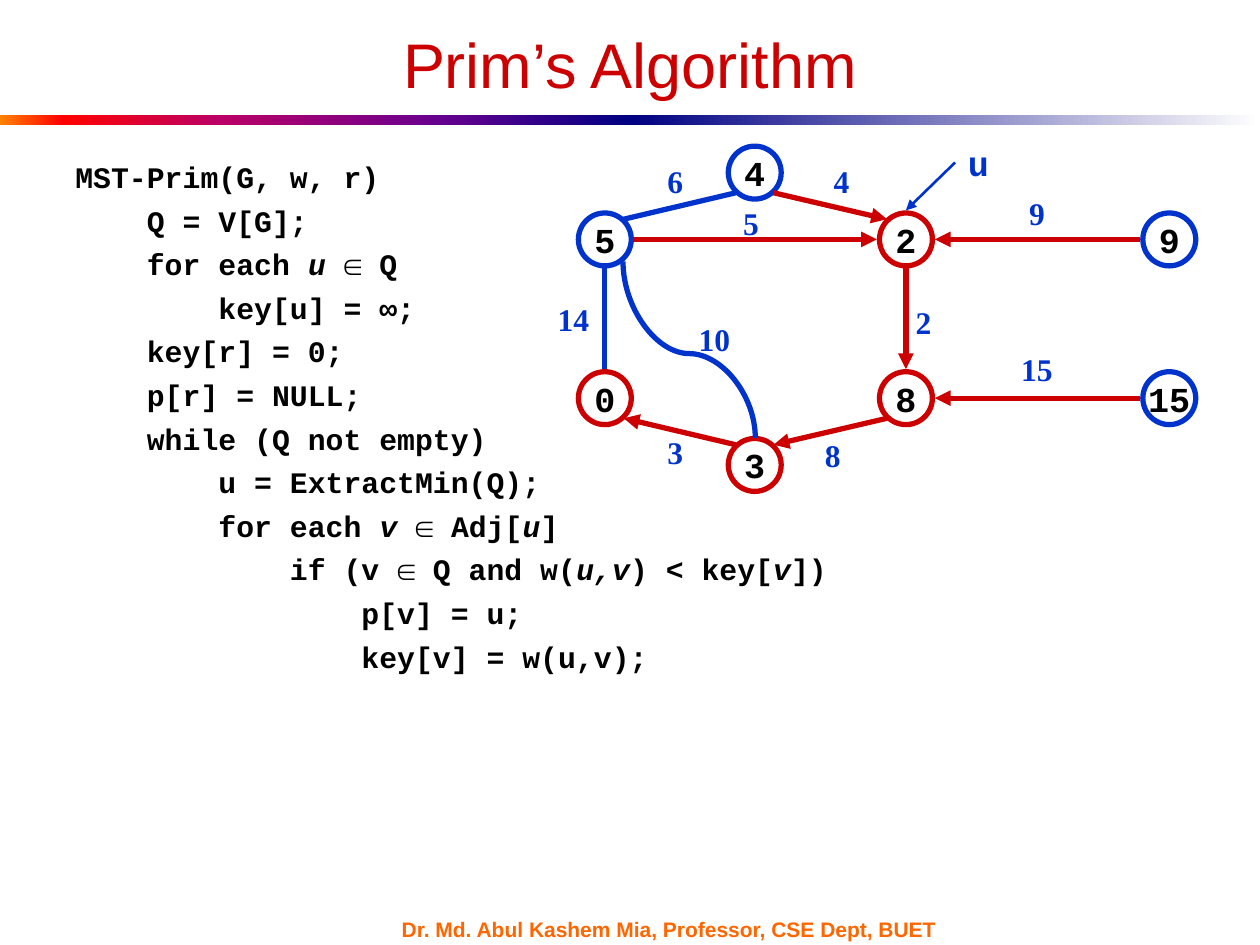
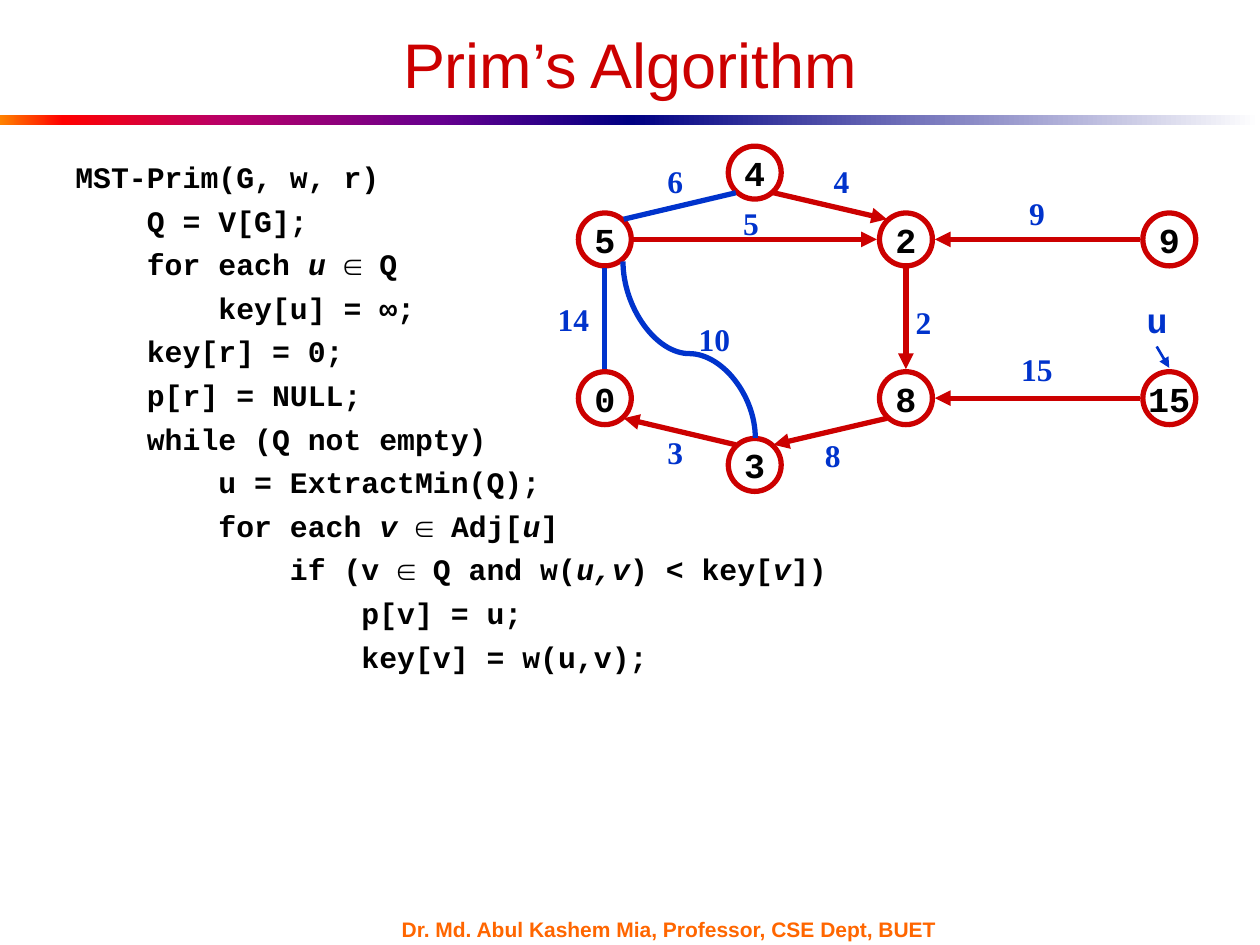
from pptx import Presentation
from pptx import util as u
from pptx.dml import color
from pptx.enum import shapes, text
from pptx.oxml import ns, xmlchemy

In = u.Inches
RED, BLUE, BLACK, ORANGE = "CC0000", "0033CC", "000000", "FF6600"
BANDS = [
    (0, [(0, "FF8200"), (10, "FF0000"), (35, "BA0066"), (70, "66008F"), (100, "000082")]),
    (5, [(0, "000082"), (100, "FFFFFF")]),
]
CODE = """MST-Prim(G, w, r)
    Q = V[G];
    for each *u *∈ Q
        key[u] = ∞;
    key[r] = 0;
    p[r] = NULL;
    while (Q not empty)
        u = ExtractMin(Q);
        for each *v *∈ Adj[*u*]
            if (v ∈ Q and w(*u,v*) < key[*v*])
                p[v] = u;
                key[v] = w(u,v);"""

NODES = {
    "5": (4.8, 1.9), "2": (7.19, 1.9), "9": (9.28, 1.9),
    "0": (4.8, 3.16), "8": (7.19, 3.16), "15": (9.28, 3.16),
    "3": (5.99, 3.69), "4": (5.99, 1.37),
}
SIDES = {
    "N": (0, -0.23), "S": (0, 0.23), "E": (0.23, 0), "W": (-0.23, 0),
    "NE": (0.15, -0.16), "NW": (-0.15, -0.16), "SE": (0.15, 0.16), "SW": (-0.15, 0.16),
}
EDGES = [
    ("4", "SE", "2", "NW", RED), ("4", "SW", "5", "NE", BLUE),
    ("5", "E", "2", "W", RED), ("0", "N", "5", "S", BLUE),
    ("3", "NW", "0", "SE", RED), ("8", "SW", "3", "NE", RED),
    ("2", "S", "8", "N", RED), ("9", "W", "2", "E", RED),
    ("15", "W", "8", "E", RED),
]
WEIGHTS = [
    ("14", 4.55, 2.33), ("10", 5.67, 2.49), ("3", 5.36, 3.39), ("6", 5.36, 1.24),
    ("4", 6.68, 1.24), ("5", 5.96, 1.57), ("2", 7.33, 2.36), ("9", 8.23, 1.49),
    ("15", 8.23, 2.73), ("8", 6.61, 3.41),
]
STEPS = [
    {"blue": ["5", "9", "15", "4"], "u": (7.58, 1.07), "pointer": (7.58, 1.29, 7.19, 1.67)},
    {"blue": [], "u": (9, 2.32), "pointer": (9.18, 2.75, 9.28, 2.92)},
]


def rgb(value):
    return color.RGBColor.from_string(value)


def write(sp, words, size, font, ink, bold=True, align="CENTER", anchor="TOP", wrap=False):
    tf = sp.text_frame
    tf.word_wrap = wrap
    tf.vertical_anchor = getattr(text.MSO_ANCHOR, anchor)
    for i, line in enumerate(words.split("\n")):
        p = tf.paragraphs[0] if i == 0 else tf.add_paragraph()
        p.alignment = getattr(text.PP_ALIGN, align)
        if i:
            p.space_before = u.Pt(4.5)
        for j, part in enumerate(line.split("*")):
            r = p.add_run()
            r.text = part
            if j % 2:
                r.font.italic = True
        p.font.size, p.font.name, p.font.bold = u.Pt(size), font, bold
        p.font.color.rgb = rgb(ink)


prs = Presentation()
prs.slide_width, prs.slide_height = In(10), In(7.5)

for step in STEPS:
    s = prs.slides.add_slide(prs.slide_layouts[6])

    for left, stops in BANDS:
        sp = s.shapes.add_shape(shapes.MSO_SHAPE.RECTANGLE, In(left), In(0.91), In(5), In(0.08))
        sp.shadow.inherit = False
        sp.line.fill.background()
        sp.fill.gradient()
        sp.fill.gradient_angle = 0
        stop_list = sp._element.spPr.find(".//" + ns.qn("a:gsLst"))
        stop_list.clear()
        for pos, value in stops:
            gs = xmlchemy.OxmlElement("a:gs")
            gs.set("pos", str(pos * 1000))
            clr = xmlchemy.OxmlElement("a:srgbClr")
            clr.set("val", value)
            gs.append(clr)
            stop_list.append(gs)

    sp = s.shapes.add_textbox(In(3.09), In(7.28), In(4.67), In(0.18))
    write(sp, "Dr. Md. Abul Kashem Mia, Professor, CSE Dept, BUET", 12, "Arial", ORANGE,
          align="LEFT", anchor="MIDDLE", wrap=True)
    sp = s.shapes.add_textbox(In(0.5), In(0.25), In(9), In(0.51))
    write(sp, "Prim’s Algorithm", 36, "Arial", RED, bold=False, anchor="MIDDLE", wrap=True)
    sp = s.shapes.add_textbox(In(0.5), In(1.21), In(9), In(4.69))
    write(sp, CODE, 17, "Courier New", BLACK, align="LEFT", wrap=True)

    for key, (x, y) in NODES.items():
        sp = s.shapes.add_shape(shapes.MSO_SHAPE.OVAL, In(x - 0.21), In(y - 0.21), In(0.42), In(0.42))
        sp.shadow.inherit = False
        sp.fill.background()
        sp.line.color.rgb = rgb(BLUE if key in step["blue"] else RED)
        sp.line.width = u.Pt(3)
        write(sp, key, 20, "Courier New", BLACK, anchor="MIDDLE")

    links = []
    for a, side_a, b, side_b, ink in EDGES:
        (ax, ay), (dax, day) = NODES[a], SIDES[side_a]
        (bx, by), (dbx, dby) = NODES[b], SIDES[side_b]
        links.append(("STRAIGHT", (ax + dax, ay + day, bx + dbx, by + dby), ink, 3, ink == RED))
    links.append(("CURVE", (6.17, 2.25, 4.77, 3.3), BLUE, 3, False))
    links.append(("STRAIGHT", step["pointer"], BLUE, 1.5, True))

    for kind, ends, ink, width, arrow in links:
        c = s.shapes.add_connector(getattr(shapes.MSO_CONNECTOR, kind), *[In(v) for v in ends])
        c.line.color.rgb = rgb(ink)
        c.line.width = u.Pt(width)
        spPr = c._element.spPr
        spPr.append(xmlchemy.OxmlElement("a:effectLst"))
        if arrow:
            tail = xmlchemy.OxmlElement("a:tailEnd")
            tail.set("type", "triangle")
            spPr.find(ns.qn("a:ln")).append(tail)
        if kind == "CURVE":
            spPr.find(ns.qn("a:xfrm")).set("rot", "5400000")
            gd = xmlchemy.OxmlElement("a:gd")
            gd.set("name", "adj1")
            gd.set("fmla", "val 47800")
            spPr.find(".//" + ns.qn("a:avLst")).append(gd)

    for weight, x, y in WEIGHTS:
        width = 0.21 + 0.12 * len(weight)
        sp = s.shapes.add_textbox(In(x - width / 2), In(y), In(width), In(0.4))
        write(sp, weight, 18, "Times New Roman", BLUE)

    x, y = step["u"]
    sp = s.shapes.add_textbox(In(x), In(y), In(0.37), In(0.43))
    write(sp, "u", 20, "Courier New", BLUE, wrap=True)

prs.save("out.pptx")
